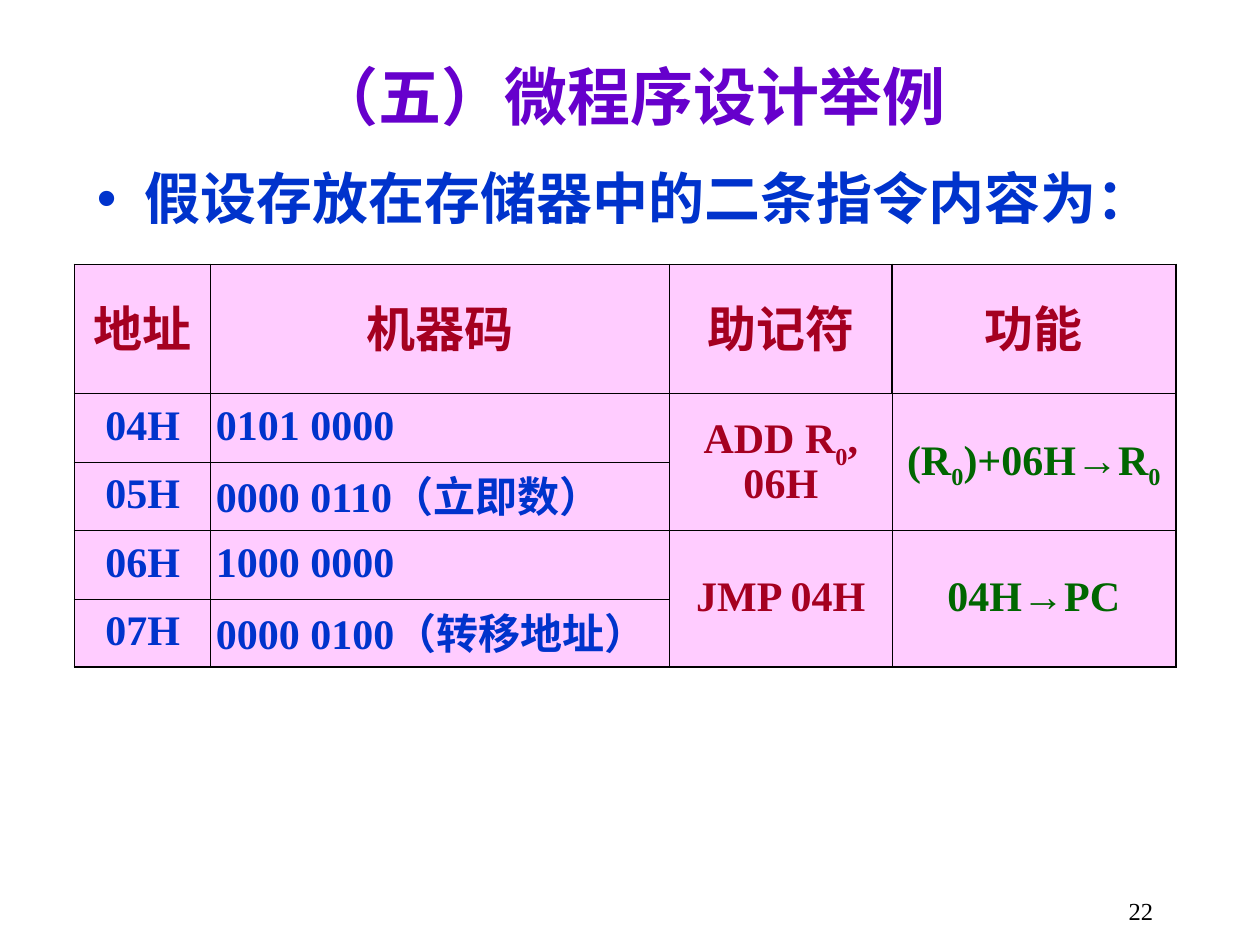
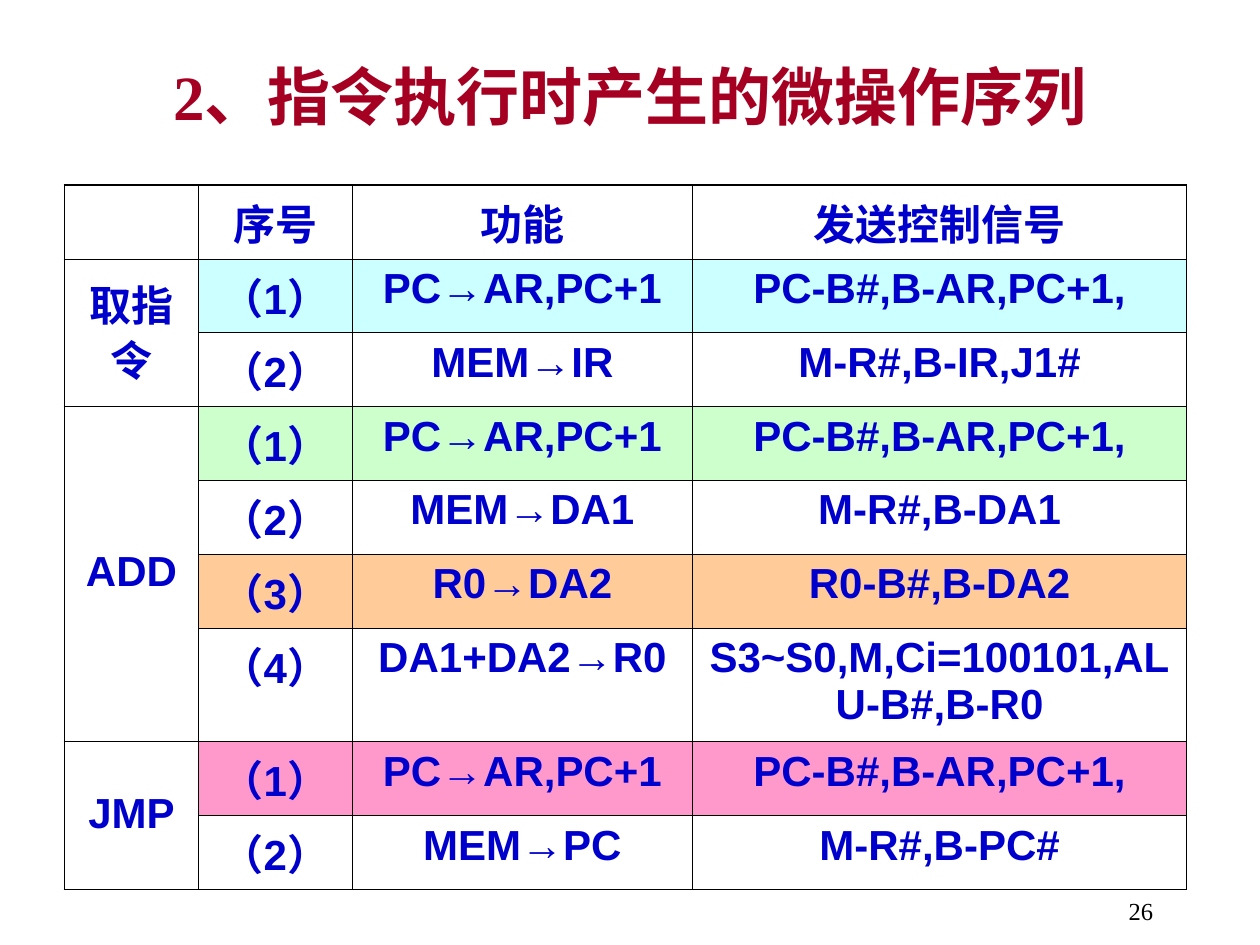
from lxml import etree
from pptx import Presentation
from pptx.dml.color import RGBColor
from pptx.enum.text import MSO_ANCHOR, MSO_AUTO_SIZE, PP_ALIGN
from pptx.oxml.ns import qn
from pptx.util import Cm, Pt

LEFT, MID, RIGHT = PP_ALIGN.LEFT, PP_ALIGN.CENTER, PP_ALIGN.RIGHT
TOP, CENTER = MSO_ANCHOR.TOP, MSO_ANCHOR.MIDDLE
FIXED = MSO_AUTO_SIZE.NONE

SERIF, SANS = "Times New Roman", "Arial"
BLACK, RED, BLUE, GREEN = "000000", "A50021", "0033CC", "006600"
PURPLE, NAVY, PINK = "6600CC", "0000CC", "FFCCFF"
THIN, THICK = 0.45, 1.08
ARROW = ("→", SANS, 0)


def color(code):
    return RGBColor.from_string(code)


class Deck:
    def __init__(self):
        self.prs = Presentation()
        self.prs.slide_width = Cm(25.4)
        self.prs.slide_height = Cm(19.05)
        self.slide = None

    def start(self, layout, title, tint, number):
        self.slide = self.prs.slides.add_slide(self.prs.slide_layouts[layout])
        self.label(number)
        head = self.slide.shapes.title
        self.place(head, 1.9, 0.91, 21.6, 2.03)
        head.text_frame.vertical_anchor = CENTER
        self.text(head.text_frame, [title], 36, tint, SERIF, MID)

    def place(self, shape, left, top, width, height):
        shape.left, shape.top = Cm(left), Cm(top)
        shape.width, shape.height = Cm(width), Cm(height)
        shape.text_frame.word_wrap = True
        shape.text_frame.auto_size = FIXED

    def text(self, frame, parts, size, tint, face, align,
             bold=True, lead=1.0, after=0):
        para = frame.paragraphs[0]
        para.alignment = align
        para.line_spacing = lead
        para.space_before = Pt(0)
        para.space_after = Pt(after)
        for part in parts:
            words, font, base = (part, face, 0) if isinstance(part, str) else part
            run = para.add_run()
            run.text = words
            run.font.name = font
            run.font.size = Pt(size)
            run.font.bold = bold
            run.font.color.rgb = color(tint)
            if base:
                run._r.get_or_add_rPr().set("baseline", str(base * 1000))
        return para

    def label(self, number):
        box = self.slide.shapes.add_textbox(0, 0, 0, 0)
        self.place(box, 18.2, 17.93, 5.3, 0.71)
        self.text(box.text_frame, [number], 14, BLACK, SERIF, RIGHT, bold=False)

    def bullet(self, words):
        body = self.slide.placeholders[1]
        self.place(body, 1.7, 3.33, 22, 2)
        para = self.text(body.text_frame, [words], 32, BLUE, SERIF, LEFT,
                         lead=0.9, after=8)
        props = para._p.get_or_add_pPr()
        props.set("marL", str(Cm(0.95)))
        props.set("indent", str(Cm(-0.95)))
        tint = etree.SubElement(props, qn("a:buClr"))
        etree.SubElement(tint, qn("a:srgbClr"), val=BLUE)
        etree.SubElement(props, qn("a:buChar"), char="•")

    def table(self, left, top, widths, heights, spans):
        frame = self.slide.shapes.add_table(
            len(heights), len(widths), Cm(left), Cm(top),
            Cm(sum(widths)), Cm(sum(heights)))
        grid = frame.table
        grid.first_row = grid.horz_banding = False
        for col, width in zip(grid.columns, widths):
            col.width = Cm(width)
        for row, height in zip(grid.rows, heights):
            row.height = Cm(height)
        for col, first, last in spans:
            grid.cell(first, col).merge(grid.cell(last, col))
        return grid

    def fill(self, cell, parts, size, tint, face, align=MID, back=None,
             side=0.25, anchor=TOP, lead=1.0, after=0):
        cell.margin_left = cell.margin_right = Cm(side)
        cell.margin_top = cell.margin_bottom = Cm(0.13)
        cell.vertical_anchor = anchor
        if back:
            cell.fill.solid()
            cell.fill.fore_color.rgb = color(back)
        else:
            cell.fill.background()
        if parts:
            self.text(cell.text_frame, parts, size, tint, face, align,
                      lead=lead, after=after)

    def rule(self, grid, heavy=()):
        rows, cols = len(grid.rows), len(grid.columns)
        for r in range(rows):
            for c in range(cols):
                cell = grid.cell(r, c)
                end = r + (cell.span_height if cell.is_merge_origin else 1)
                edges = {"L": c == 0 or (r, c - 1) in heavy,
                         "R": c == cols - 1 or (r, c) in heavy,
                         "T": r == 0, "B": end == rows}
                props = cell._tc.get_or_add_tcPr()
                for spot, (side, thick) in enumerate(edges.items()):
                    line = etree.Element(qn("a:ln" + side))
                    line.set("w", str(Pt(THICK if thick else THIN)))
                    paint = etree.SubElement(line, qn("a:solidFill"))
                    etree.SubElement(paint, qn("a:srgbClr"), val=BLACK)
                    props.insert(spot, line)


def codes(deck):
    deck.start(1, "（五）微程序设计举例", PURPLE, "22")
    deck.bullet("假设存放在存储器中的二条指令内容为：")
    rows = [
        [["地址"], ["机器码"], ["助记符"], ["功能"]],
        [["04H"], ["0101 0000"],
         ["ADD R", ("0", SERIF, -30), ", 06H"],
         ["(R", ("0", SERIF, -25), ")+06H", ARROW, "R", ("0", SERIF, -25)]],
        [["05H"], ["0000 0110（立即数）"], [], []],
        [["06H"], ["1000 0000"], ["JMP 04H"], ["04H", ARROW, "PC"]],
        [["07H"], ["0000 0100（转移地址）"], [], []],
    ]
    spans = [(c, r, r + 1) for c in (2, 3) for r in (1, 3)]
    grid = deck.table(1.5, 5.33, [2.75, 9.25, 4.48, 5.72],
                      [2.59, 1.4, 1.32, 1.4, 1.32], spans)
    tints = [BLUE, BLUE, RED, GREEN]
    for r, row in enumerate(rows):
        for c, parts in enumerate(row):
            head = r == 0
            deck.fill(grid.cell(r, c), parts, 28 if head else 24,
                      RED if head else tints[c], SERIF,
                      LEFT if c == 1 and not head else MID, PINK,
                      side=0.1, anchor=CENTER, lead=0.9, after=7 if head else 6)
    deck.rule(grid, heavy={(0, 2)})


def steps(deck):
    deck.start(5, "2、指令执行时产生的微操作序列", RED, "26")
    fetch = ("PC→AR,PC+1", "PC-B#,B-AR,PC+1,")
    groups = [
        ("取指令", [(*fetch, "CCFFFF"), ("MEM→IR", "M-R#,B-IR,J1#", None)]),
        ("ADD", [(*fetch, "CCFFCC"),
                 ("MEM→DA1", "M-R#,B-DA1", None),
                 ("R0→DA2", "R0-B#,B-DA2", "FFCC99"),
                 ("DA1+DA2→R0", "S3~S0,M,Ci=100101,ALU-B#,B-R0", None)]),
        ("JMP", [(*fetch, "FF99CC"), ("MEM→PC", "M-R#,B-PC#", None)]),
    ]
    rows, spans = [("", "序号", "功能", "发送控制信号", None)], []
    for name, acts in groups:
        spans.append((0, len(rows), len(rows) + len(acts) - 1))
        for n, (act, signal, back) in enumerate(acts, 1):
            rows.append((name if n == 1 else "", f"（{n}）", act, signal, back))
    heights = [2.29 if r == 6 else 1.27 for r in range(len(rows))]
    grid = deck.table(1.3, 3.73, [2.7, 3.1, 6.86, 9.96], heights, spans)
    for r, (*texts, back) in enumerate(rows):
        for c, words in enumerate(texts):
            look = (dict(anchor=CENTER, lead=0.9, after=6) if c == 0
                    else dict(back=back))
            deck.fill(grid.cell(r, c), [words] if words else [], 24, NAVY, SANS,
                      **look)
    deck.rule(grid)


def main():
    deck = Deck()
    codes(deck)
    steps(deck)
    deck.prs.save("out.pptx")


if __name__ == "__main__":
    main()
